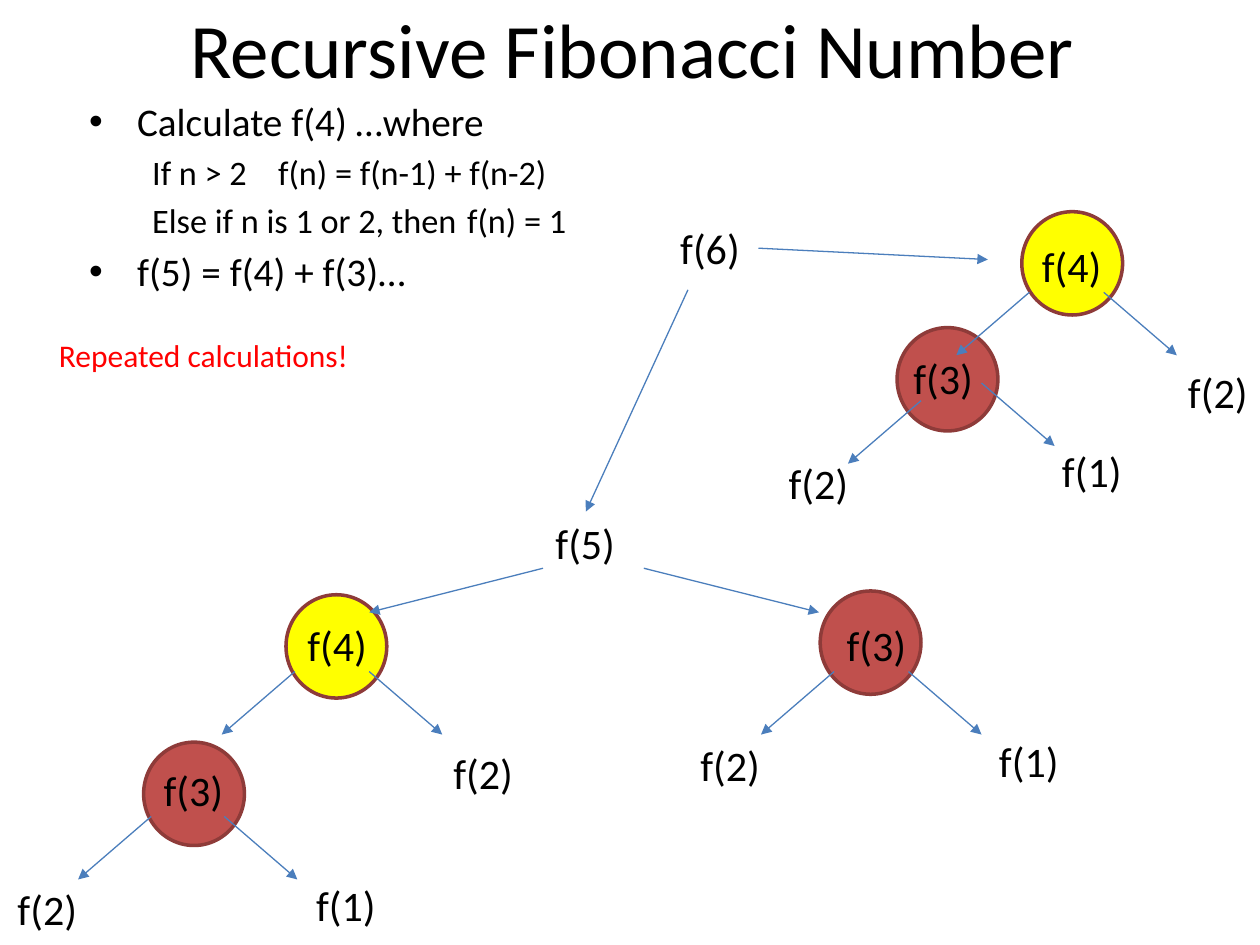
import pptx
import pptx.util
import pptx.oxml
import pptx.oxml.ns
from pptx.dml.color import RGBColor
from pptx.enum.shapes import MSO_CONNECTOR, MSO_SHAPE
from pptx.enum.text import MSO_ANCHOR, MSO_AUTO_SIZE, PP_ALIGN
from pptx.util import Inches, Pt

THEME = {
    "font": "Calibri",
    "text": "000000", "alert": "FF0000", "arrow": "4B7EBC", "outline": "8E3B39",
    "f(4)": "FFFF00", "f(3)": "C0504D",
    "title size": 44, "bullet size": 22.4, "detail size": 19.6,
    "node size": 24, "note size": 18,
}

# Content
TITLE = "Recursive Fibonacci Number"
NOTE = "Repeated calculations!"
BODY = [  # level, text
    (0, "Calculate f(4) …where"),
    (1, "If n > 2\tf(n) = f(n-1) + f(n-2)"),
    (1, "Else if n is 1 or 2, then\tf(n) = 1"),
    (0, "f(5) = f(4) + f(3)…"),
]
NODES = [  # text, label left and top, circle left and top
    ("f(6)", (5.3, 1.72), None),
    ("f(5)", (4.31, 4.06), None),
    ("f(4)", (8.17, 1.86), (8.11, 1.68)),
    ("f(4)", (2.34, 4.87), (2.27, 4.72)),
    ("f(3)", (7.15, 2.75), (7.12, 2.6)),
    ("f(3)", (6.62, 4.87), (6.51, 4.69)),
    ("f(3)", (1.2, 6.02), (1.14, 5.89)),
    ("f(2)", (9.33, 2.86), None),
    ("f(2)", (6.16, 3.58), None),
    ("f(1)", (8.33, 3.49), None),
    ("f(2)", (3.5, 5.88), None),
    ("f(2)", (5.46, 5.82), None),
    ("f(1)", (7.83, 5.79), None),
    ("f(2)", (0.04, 6.96), None),
    ("f(1)", (2.41, 6.93), None),
]
LONG_ARROWS = [  # start, end
    ((6.02, 1.97), (7.84, 2.06)),
    ((5.46, 2.3), (4.65, 4.06)),
    ((4.31, 4.51), (2.93, 4.86)),
    ((5.11, 4.51), (6.5, 4.86)),
]
BRANCHES = [  # start of the left arrow, start of the right arrow
    ((8.17, 2.32), (8.76, 2.32)),
    ((7.31, 3.18), (7.79, 3.04)),
    ((2.34, 5.33), (2.93, 5.33)),
    ((6.62, 5.33), (7.21, 5.33)),
    ((1.2, 6.48), (1.78, 6.48)),
]
BRANCH_STEP = (0.58, 0.5)
CIRCLE_SIZE = (0.8, 0.82)
LABEL_SIZE = (0.68, 0.5)


def color(name):
    return RGBColor.from_string(THEME[name])


def style(paragraph, size, color_name="text"):
    paragraph.font.name = THEME["font"]
    paragraph.font.size = Pt(THEME[size])
    paragraph.font.color.rgb = color(color_name)


def add_element(parent, tag, **attributes):
    element = pptx.oxml.parse_xml(f"<a:{tag} {pptx.oxml.ns.nsdecls('a')}/>")
    for name, value in attributes.items():
        element.set(name, str(value))
    parent.append(element)
    return element


def add_label(slide, text, position, box_size, size, color_name="text"):
    box = slide.shapes.add_textbox(*map(Inches, position + box_size))
    frame = box.text_frame
    frame.word_wrap = False
    frame.auto_size = MSO_AUTO_SIZE.SHAPE_TO_FIT_TEXT
    frame.text = text
    style(frame.paragraphs[0], size, color_name)


def add_circle(slide, position, fill):
    circle = slide.shapes.add_shape(
        MSO_SHAPE.OVAL, *map(Inches, position + CIRCLE_SIZE))
    circle.shadow.inherit = False
    circle.fill.solid()
    circle.fill.fore_color.rgb = color(fill)
    circle.line.color.rgb = color("outline")
    circle.line.width = Pt(2)


def add_arrow(slide, start, end):
    arrow = slide.shapes.add_connector(
        MSO_CONNECTOR.STRAIGHT, *map(Inches, start + end))
    arrow.line.color.rgb = color("arrow")
    arrow.line.width = Pt(0.75)
    add_element(arrow.line._get_or_add_ln(), "tailEnd", type="triangle")
    add_element(arrow._element.spPr, "effectLst")


def add_body(slide):
    box = slide.shapes.add_textbox(Inches(0.61), Inches(0.72), Inches(9), Inches(1.58))
    frame = box.text_frame
    frame.word_wrap = True
    for index, (level, text) in enumerate(BODY):
        paragraph = frame.paragraphs[0] if index == 0 else frame.add_paragraph()
        paragraph.text = text
        paragraph.level = level
        size = "detail size" if level else "bullet size"
        if index:
            paragraph.space_before = Pt(round(THEME[size] * 0.2, 1))
        properties = paragraph._p.get_or_add_pPr()
        properties.set("marL", str(Inches(0.5 if level else 0.38)))
        properties.set("indent", str(Inches(0 if level else -0.38)))
        if level:
            add_element(properties, "buNone")
            tabs = add_element(properties, "tabLst")
            add_element(tabs, "tab", pos=Inches(3.15), algn="l")
        else:
            add_element(properties, "buFont", typeface="Arial")
            add_element(properties, "buChar", char="•")
        style(paragraph, size)


def main():
    presentation = pptx.Presentation()
    presentation.slide_width, presentation.slide_height = Inches(10), Inches(7.5)
    slide = presentation.slides.add_slide(presentation.slide_layouts[5])

    # Title and explanation
    title = slide.shapes.title
    title.left, title.top = Inches(0.52), Inches(-0.25)
    title.width, title.height = Inches(9), Inches(1.25)
    title.text_frame.text = TITLE
    title.text_frame.vertical_anchor = MSO_ANCHOR.MIDDLE
    title.text_frame.paragraphs[0].alignment = PP_ALIGN.CENTER
    style(title.text_frame.paragraphs[0], "title size")
    add_body(slide)
    add_label(slide, NOTE, (0.37, 2.62), (2.53, 0.4), "note size", "alert")

    # Call tree: circles behind, then labels and arrows
    for text, _, circle_position in NODES:
        if circle_position:
            add_circle(slide, circle_position, text)
    for text, label_position, _ in NODES:
        add_label(slide, text, label_position, LABEL_SIZE, "node size")
    for start, end in LONG_ARROWS:
        add_arrow(slide, start, end)
    across, down = BRANCH_STEP
    for branch in BRANCHES:
        for (x, y), direction in zip(branch, (-1, 1)):
            add_arrow(slide, (x, y), (x + direction * across, y + down))

    presentation.save("out.pptx")


if __name__ == "__main__":
    main()
